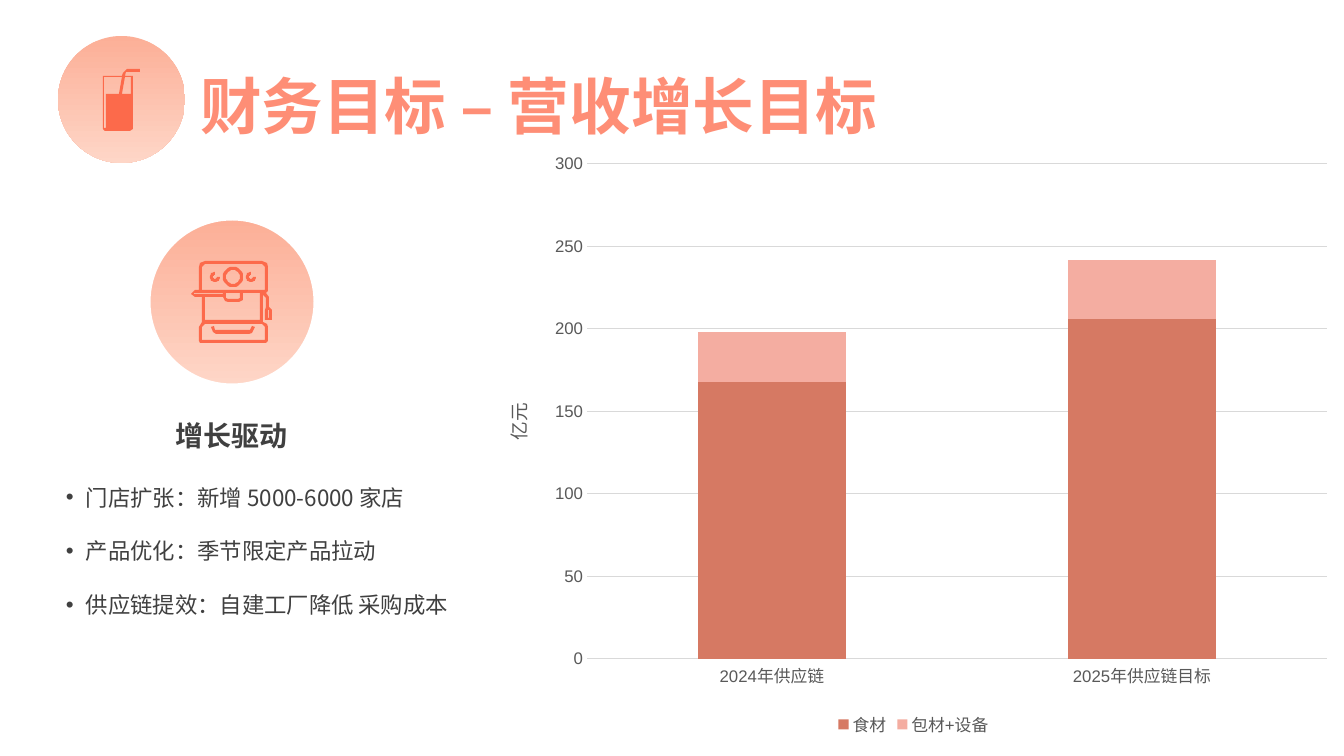
from dataclasses import dataclass
from math import cos, radians, sin

from lxml import etree
from pptx import Presentation
from pptx.chart.data import CategoryChartData
from pptx.dml.color import RGBColor
from pptx.enum.chart import XL_CHART_TYPE, XL_LEGEND_POSITION, XL_TICK_MARK
from pptx.enum.shapes import MSO_SHAPE
from pptx.enum.text import MSO_ANCHOR, PP_ALIGN
from pptx.oxml.ns import qn
from pptx.util import Pt

OVAL = MSO_SHAPE.OVAL
LEFT, CENTER = PP_ALIGN.LEFT, PP_ALIGN.CENTER
TOP, MIDDLE = MSO_ANCHOR.TOP, MSO_ANCHOR.MIDDLE
STACKED, LEGEND_BOTTOM = XL_CHART_TYPE.COLUMN_STACKED, XL_LEGEND_POSITION.BOTTOM
NO_TICK = XL_TICK_MARK.NONE

TITLE = "财务目标 – 营收增长目标"
HEADING = "增长驱动"
DRIVERS = ["门店扩张：新增 5000-6000 家店", "产品优化：季节限定产品拉动", "供应链提效：自建工厂降低 采购成本"]
UNIT = "亿元"
YEARS = ["2024年供应链", "2025年供应链目标"]
REVENUE = {"食材": (168, 206), "包材+设备": (30, 36)}

# Lengths in px: left, top, width, height
TITLE_BOX = (190, 63, 777, 84)
HEADING_BOX = (165, 414, 133, 45)
DRIVERS_BOX = (56, 452, 426, 166)
CHART_BOX = (482, 143, 863, 598)
PLOT_BOX = (587, 164, 740, 495)
DRINK_DISC = (58, 36, 127, 127)
MACHINE_DISC = (149, 219, 166, 166)

# Icon outlines: the first contour is the silhouette, the next ones cut holes or fill islands
DRINK = [
    [(127, 72), (140, 72), (140, 69), (127, 69), (123, 73), (122, 76), (103, 76), (103, 129), (105, 131),
     (130, 131), (133, 129), (133, 76), (125, 76), (126, 72)],
    [(104, 77), (122, 77), (119, 94), (106, 94), (106, 128), (104, 128)],
    [(131, 77), (131, 94), (122, 94), (125, 77)],
]
MACHINE = [
    [(205, 261), (262, 261), (267, 263), (268, 267), (268, 291), (266, 293), (269, 297), (269, 307),
     (272, 310), (272, 320), (265, 320), (265, 310), (266, 307), (266, 298), (263, 295), (263, 322),
     (267, 324), (268, 327), (268, 341), (266, 343), (200, 343), (199, 341), (199, 327), (202, 322),
     (202, 297), (195, 297), (191, 294), (195, 290), (199, 290), (199, 267), (200, 263)],
    [(205, 264), (262, 264), (265, 267), (265, 290), (202, 290), (202, 267)],
    [(205, 297), (223, 297), (225, 301), (228, 302), (239, 302), (243, 300), (243, 293), (260, 293),
     (260, 320), (205, 320)],
    [(226, 293), (240, 293), (240, 298), (238, 299), (228, 299), (226, 298)],
    [(194, 293), (223, 293), (223, 294), (194, 294)],
    [(268, 310), (269, 310), (269, 318), (268, 318)],
    [(205, 324), (262, 324), (265, 327), (265, 340), (202, 340), (202, 327)],
    [(211, 327), (214, 326), (215, 330), (250, 330), (252, 326), (255, 327), (252, 333), (249, 334),
     (216, 334), (213, 332)],
]
GAUGE_CENTER, GAUGE_RADII = (233, 277), (10, 7)
KNOB_CENTERS, KNOB_RADII = [(215, 277), (251, 277)], (5, 2)


@dataclass(frozen=True)
class Theme:
    font: str = "Noto Sans CJK SC"
    chart_font: str = "Arial"
    icon: str = "FC6A4B"
    disc: tuple = ("FCAF97", "FED6C7")
    disc_edge: str = "FFFFFF"
    title: tuple = ("FE8E76", "FC6A4B")
    text: str = "404040"
    axis: str = "595959"
    grid: str = "D9D9D9"
    series: tuple = ("D67963", "F4ADA1")
    title_size: int = 44
    heading_size: int = 20
    body_size: int = 16
    unit_size: float = 13.3
    chart_size: int = 12


THEME = Theme()
SLIDE_W, SLIDE_H = 1344, 756
PX = 12192000 / SLIDE_W


def emu(lengths):
    return [round(length * PX) for length in lengths]


def rgb(code):
    return RGBColor.from_string(code)


def set_gradient(fill, colors, angle):
    fill.gradient()
    fill.gradient_angle = angle
    for stop, code in zip(fill.gradient_stops, colors):
        stop.color.rgb = rgb(code)


def set_font(font, size, color, latin=THEME.font, bold=False):
    """Format a font; East Asian text always takes the theme typeface."""
    font.size, font.bold = Pt(size), bold
    font.color.rgb = rgb(color)
    font.name = latin
    east_asian = etree.Element(qn("a:ea"), typeface=THEME.font)
    font._element.find(qn("a:latin")).addnext(east_asian)


def set_line(line, color, width):
    line.color.rgb = rgb(color)
    line.width = round(width * PX)


def add_disc(slide, box):
    disc = slide.shapes.add_shape(OVAL, *emu(box))
    disc.shadow.inherit = False
    disc.line.fill.background()
    set_gradient(disc.fill, THEME.disc, 270)
    return disc


def arc(center, radius, sweep=360):
    x, y = center
    angles = [radians(degree) for degree in range(0, sweep + 1, 15)]
    return [(x + radius * cos(a), y + radius * sin(a)) for a in angles]


def add_icon(slide, contours):
    builder = slide.shapes.build_freeform(*contours[0][0], scale=PX)
    for contour in contours:
        builder.move_to(*contour[0])
        builder.add_line_segments(contour[1:], close=True)
    icon = builder.convert_to_shape()
    icon.shadow.inherit = False
    icon.fill.solid()
    icon.fill.fore_color.rgb = rgb(THEME.icon)
    icon.line.fill.background()


def add_machine(slide):
    set_line(add_disc(slide, MACHINE_DISC).line, THEME.disc_edge, 3)
    gauge = [arc(GAUGE_CENTER, radius) for radius in GAUGE_RADII]
    outer, inner = KNOB_RADII
    knobs = [arc(center, outer, 270) + arc(center, inner, 270)[::-1] for center in KNOB_CENTERS]
    add_icon(slide, MACHINE + gauge + knobs)


def add_title(slide):
    title = slide.shapes.title
    title.left, title.top, title.width, title.height = emu(TITLE_BOX)
    title.text_frame.text = TITLE
    title.text_frame.vertical_anchor = MIDDLE
    paragraph = title.text_frame.paragraphs[0]
    paragraph.alignment = LEFT
    set_font(paragraph.font, THEME.title_size, THEME.title[0], bold=True)
    set_gradient(paragraph.runs[0].font.fill, THEME.title, 144)


def add_text(slide, box, lines, wrap):
    frame = slide.shapes.add_textbox(*emu(box)).text_frame
    frame.word_wrap = wrap
    frame.vertical_anchor = TOP
    frame.text = "\n".join(lines)
    return frame.paragraphs


def add_drivers(slide):
    heading = add_text(slide, HEADING_BOX, [HEADING], False)[0]
    heading.alignment = CENTER
    set_font(heading.font, THEME.heading_size, THEME.text, bold=True)
    for driver in add_text(slide, DRIVERS_BOX, DRIVERS, True):
        driver.line_spacing = 2.0
        properties = driver._p.get_or_add_pPr()
        indent = round(20 * PX)
        properties.set("marL", str(indent))
        properties.set("indent", str(-indent))
        etree.SubElement(properties, qn("a:buFont"), typeface="Arial")
        etree.SubElement(properties, qn("a:buChar"), char="•")
        set_font(driver.font, THEME.body_size, THEME.text)


def place_plot(chart):
    """Fix the inner plot area as fractions of the chart frame."""
    left, top, width, height = CHART_BOX
    x, y, w, h = PLOT_BOX
    plot_area = chart._chartSpace.chart.plotArea
    for old in plot_area.findall(qn("c:layout")):
        plot_area.remove(old)
    layout = etree.Element(qn("c:layout"))
    plot_area.insert(0, layout)
    manual = etree.SubElement(layout, qn("c:manualLayout"))
    settings = {"layoutTarget": "inner", "xMode": "edge", "yMode": "edge",
                "x": (x - left) / width, "y": (y - top) / height, "w": w / width, "h": h / height}
    for tag, value in settings.items():
        etree.SubElement(manual, qn(f"c:{tag}"), val=str(value))


def add_revenue_chart(slide):
    revenue = CategoryChartData()
    revenue.categories = YEARS
    for name, values in REVENUE.items():
        revenue.add_series(name, values)
    chart = slide.shapes.add_chart(STACKED, *emu(CHART_BOX), revenue).chart
    set_font(chart.font, THEME.chart_size, THEME.axis, THEME.chart_font)
    chart.has_title = False
    chart.has_legend = True
    chart.legend.position = LEGEND_BOTTOM
    chart.legend.include_in_layout = False
    plot = chart.plots[0]
    plot.gap_width, plot.overlap, plot.vary_by_categories = 150, 100, False
    for series, color in zip(plot.series, THEME.series):
        series.format.fill.solid()
        series.format.fill.fore_color.rgb = rgb(color)
    years, amounts = chart.category_axis, chart.value_axis
    for axis in (years, amounts):
        axis.major_tick_mark = axis.minor_tick_mark = NO_TICK
    set_line(years.format.line, THEME.grid, 1)
    amounts.format.line.fill.background()
    set_line(amounts.major_gridlines.format.line, THEME.grid, 1)
    amounts.minimum_scale, amounts.maximum_scale, amounts.major_unit = 0, 300, 50
    unit = amounts.axis_title.text_frame
    unit.text = UNIT
    set_font(unit.paragraphs[0].font, THEME.unit_size, THEME.axis, THEME.chart_font)
    place_plot(chart)


deck = Presentation()
deck.slide_width, deck.slide_height = emu((SLIDE_W, SLIDE_H))
slide = deck.slides.add_slide(deck.slide_layouts[5])
add_machine(slide)
add_drivers(slide)
add_revenue_chart(slide)
add_title(slide)
add_disc(slide, DRINK_DISC)
add_icon(slide, DRINK)
deck.save("out.pptx")
